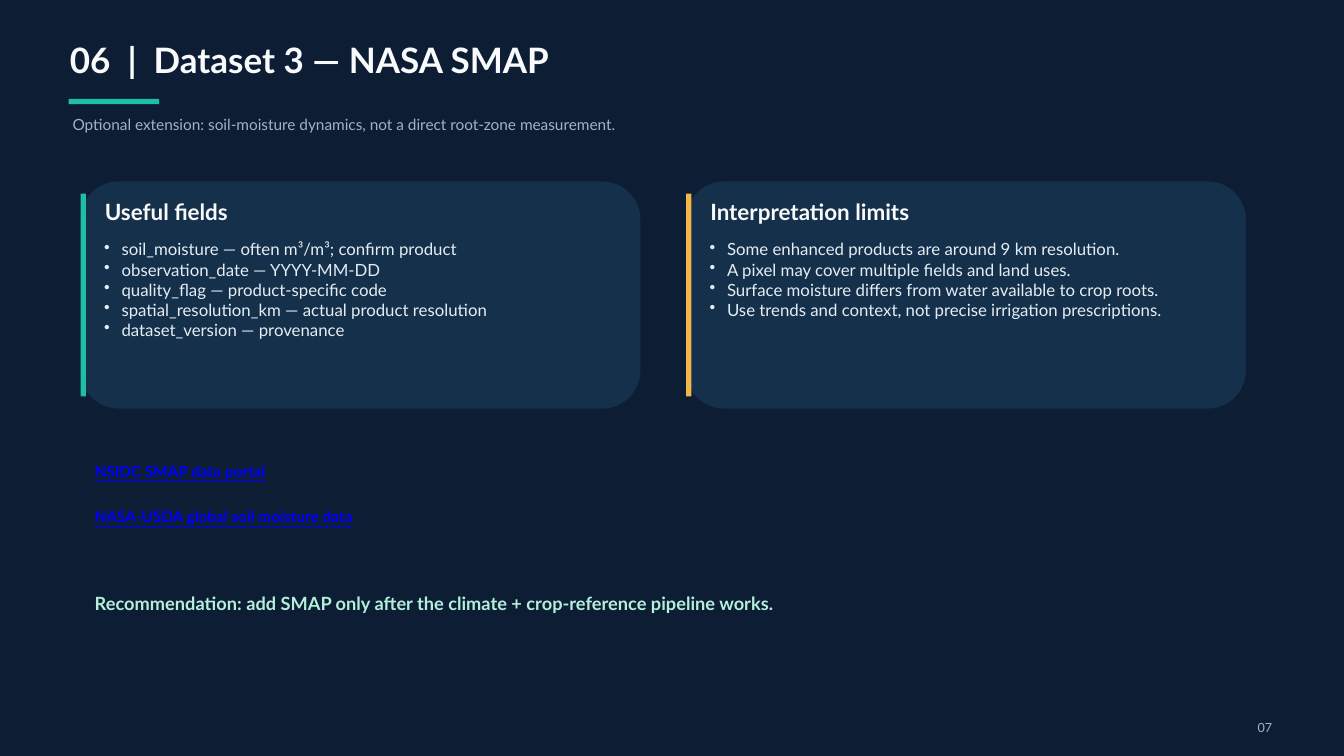
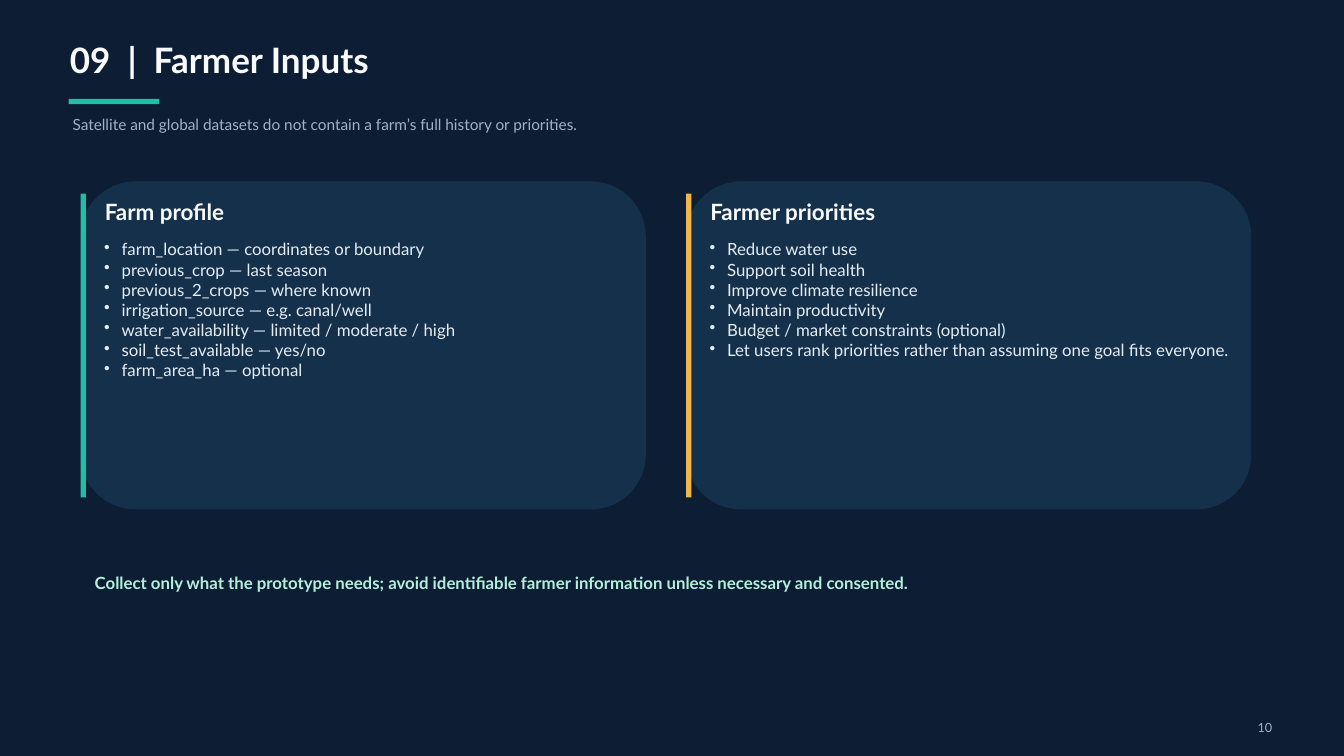
from dataclasses import dataclass

from lxml import etree
from pptx import Presentation
from pptx.dml.color import RGBColor
from pptx.enum.shapes import MSO_SHAPE
from pptx.enum.text import MSO_ANCHOR, MSO_AUTO_SIZE, PP_ALIGN
from pptx.oxml.ns import qn
from pptx.util import Inches, Pt

RECTANGLE = MSO_SHAPE.RECTANGLE
ROUNDED_RECTANGLE = MSO_SHAPE.ROUNDED_RECTANGLE
TOP = MSO_ANCHOR.TOP
NO_AUTOFIT = MSO_AUTO_SIZE.NONE
LEFT, RIGHT = PP_ALIGN.LEFT, PP_ALIGN.RIGHT


@dataclass(frozen=True)
class Theme:
    font: str = "Lato"
    background: str = "0C1D34"
    card: str = "14304B"
    teal: str = "1FBEA6"
    amber: str = "F2B74A"
    white: str = "F8FAFC"
    body: str = "E5EDF3"
    muted: str = "9FB4C5"
    mint: str = "B4EFDB"
    link: str = "0000FF"
    title_size: float = 37.5
    heading_size: float = 24
    takeaway_size: float = 19.5
    body_size: float = 18
    small_size: float = 16.5
    number_size: float = 13.5


THEME = Theme()
CARD_TOP = 2.7
CARD_LEFTS = (1.2, 10.21)
ACCENTS = (THEME.teal, THEME.amber)
BAR_INSET = 0.18
LINK_TOP, LINK_STEP = 6.87, 0.68

SLIDES = [
    {
        "title": "06  |  Dataset 3 — NASA SMAP",
        "subtitle": "Optional extension: soil-moisture dynamics, not a direct root-zone measurement.",
        "number": "07",
        "card_size": (8.33, 3.38),
        "cards": [
            ("Useful fields", [
                "soil_moisture — often m³/m³; confirm product",
                "observation_date — YYYY-MM-DD",
                "quality_flag — product-specific code",
                "spatial_resolution_km — actual product resolution",
                "dataset_version — provenance",
            ]),
            ("Interpretation limits", [
                "Some enhanced products are around 9 km resolution.",
                "A pixel may cover multiple fields and land uses.",
                "Surface moisture differs from water available to crop roots.",
                "Use trends and context, not precise irrigation prescriptions.",
            ]),
        ],
        "links": ["NSIDC SMAP data portal", "NASA-USDA global soil moisture data"],
        "takeaway": "Recommendation: add SMAP only after the climate + crop-reference pipeline works.",
        "takeaway_box": (1.41, 8.82, 17.14, 0.68),
        "takeaway_size": THEME.takeaway_size,
    },
    {
        "title": "09  |  Farmer Inputs",
        "subtitle": "Satellite and global datasets do not contain a farm’s full history or priorities.",
        "number": "10",
        "card_size": (8.41, 4.88),
        "cards": [
            ("Farm profile", [
                "farm_location — coordinates or boundary",
                "previous_crop — last season",
                "previous_2_crops — where known",
                "irrigation_source — e.g. canal/well",
                "water_availability — limited / moderate / high",
                "soil_test_available — yes/no",
                "farm_area_ha — optional",
            ]),
            ("Farmer priorities", [
                "Reduce water use",
                "Support soil health",
                "Improve climate resilience",
                "Maintain productivity",
                "Budget / market constraints (optional)",
                "Let users rank priorities rather than assuming one goal fits everyone.",
            ]),
        ],
        "links": [],
        "takeaway": "Collect only what the prototype needs; avoid identifiable farmer information unless necessary and consented.",
        "takeaway_box": (1.41, 8.52, 17.14, 0.76),
        "takeaway_size": THEME.body_size,
    },
]


def add_text(slide, box, text, size, color, bold=False, underline=None,
             align=LEFT, bullets=False, shape=None):
    left, top, width, height = map(Inches, box)
    if shape is None:
        shape = slide.shapes.add_textbox(left, top, width, height)
    shape.left, shape.top, shape.width, shape.height = left, top, width, height
    frame = shape.text_frame
    frame.text = text
    frame.word_wrap = True
    frame.auto_size = NO_AUTOFIT
    frame.vertical_anchor = TOP
    frame.margin_left = frame.margin_top = frame.margin_right = frame.margin_bottom = 0
    for paragraph in frame.paragraphs:
        paragraph.alignment = align
        paragraph.line_spacing = Pt(size * 1.2)
        paragraph.space_before = Pt(0)
        if bullets:
            properties = paragraph._p.get_or_add_pPr()
            properties.set("marL", str(Inches(0.26)))
            properties.set("indent", str(Inches(-0.26)))
            etree.SubElement(properties, qn("a:buChar")).set("char", "•")
        for run in paragraph.runs:
            run.font.name = THEME.font
            run.font.size = Pt(size)
            run.font.bold = bold
            run.font.underline = underline
            run.font.color.rgb = RGBColor.from_string(color)


def add_block(slide, kind, box, color):
    shape = slide.shapes.add_shape(kind, *map(Inches, box))
    shape.shadow.inherit = False
    shape.fill.solid()
    shape.fill.fore_color.rgb = RGBColor.from_string(color)
    shape.line.fill.background()


presentation = Presentation()
presentation.slide_width = Inches(20)
presentation.slide_height = Inches(11.25)
background = presentation.slide_master.background.fill
background.solid()
background.fore_color.rgb = RGBColor.from_string(THEME.background)
title_only = presentation.slide_layouts.get_by_name("Title Only")

for content in SLIDES:
    slide = presentation.slides.add_slide(title_only)
    add_text(slide, (1.04, 0.57, 17.89, 0.68), content["title"],
             THEME.title_size, THEME.white, bold=True, shape=slide.shapes.title)
    add_block(slide, RECTANGLE, (1.02, 1.47, 1.35, 0.08), THEME.teal)
    add_text(slide, (1.08, 1.72, 17.89, 0.46), content["subtitle"],
             THEME.small_size, THEME.muted)
    add_text(slide, (18.22, 10.72, 0.71, 0.24), content["number"],
             THEME.number_size, THEME.muted, align=RIGHT)

    width, height = content["card_size"]
    for left, accent, (heading, items) in zip(CARD_LEFTS, ACCENTS, content["cards"]):
        add_block(slide, ROUNDED_RECTANGLE, (left, CARD_TOP, width, height), THEME.card)
        add_block(slide, RECTANGLE,
                  (left, CARD_TOP + BAR_INSET, 0.08, height - 2 * BAR_INSET), accent)
        add_text(slide, (left + 0.36, CARD_TOP + 0.25, width - 0.64, 0.46), heading,
                 THEME.heading_size, THEME.white, bold=True)
        add_text(slide, (left + 0.35, CARD_TOP + 0.86, width - 0.66, height - 0.98),
                 "\n".join(items), THEME.body_size, THEME.body, bullets=True)

    for index, link in enumerate(content["links"]):
        add_text(slide, (1.41, LINK_TOP + index * LINK_STEP, 17.14, 0.35), link,
                 THEME.small_size, THEME.link, bold=True, underline=True)
    add_text(slide, content["takeaway_box"], content["takeaway"],
             content["takeaway_size"], THEME.mint, bold=True)

presentation.save("out.pptx")
